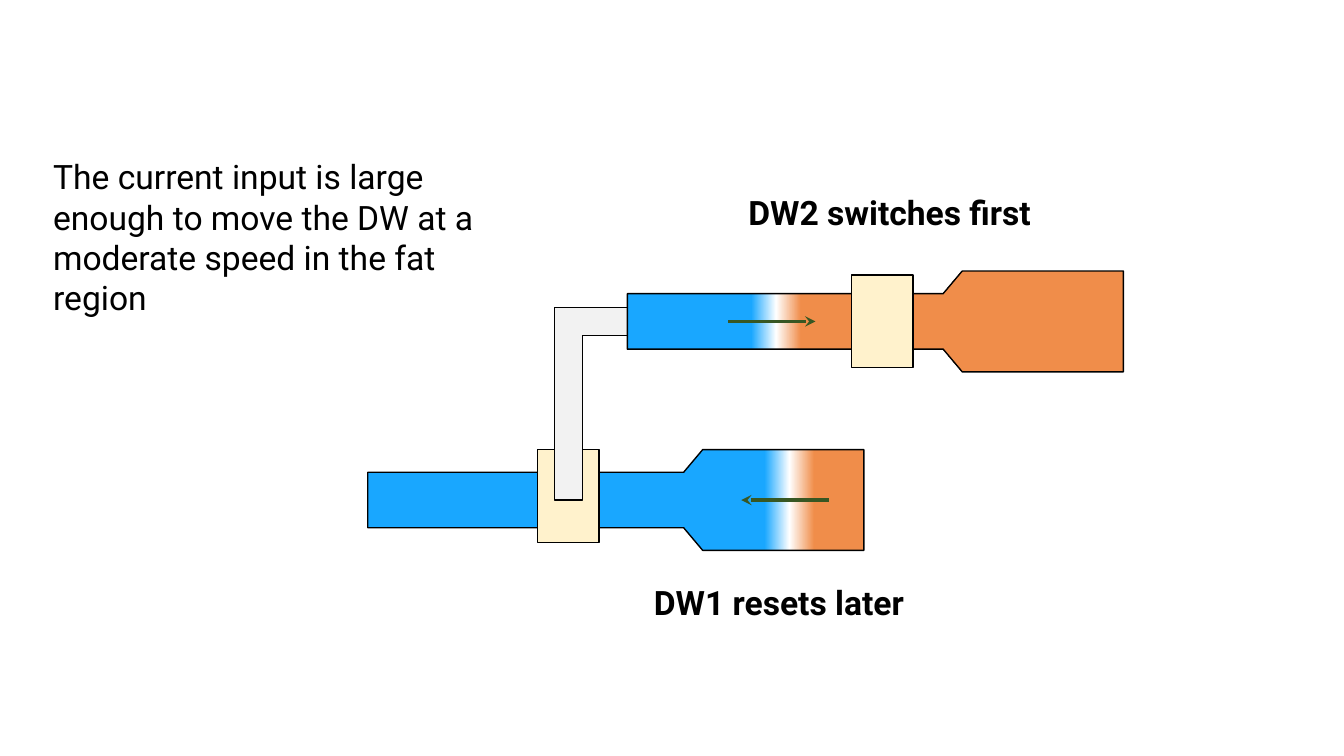
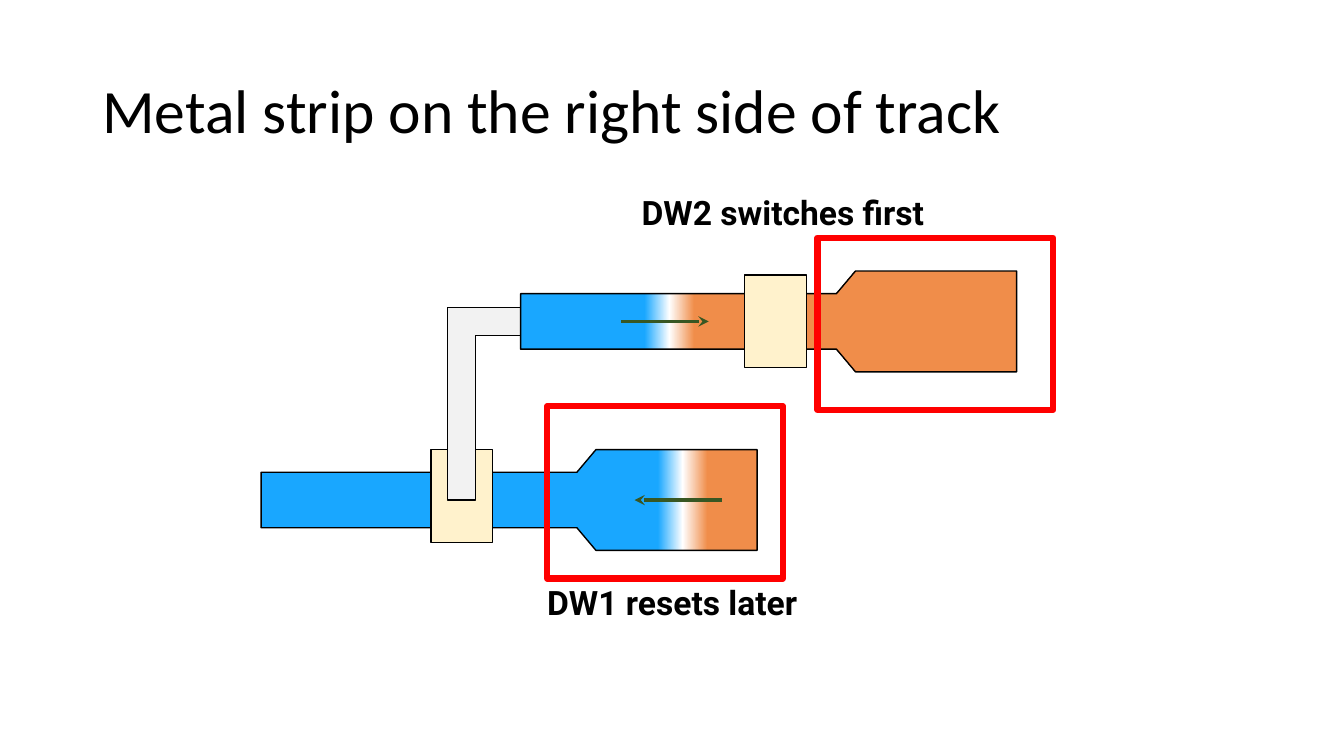
from copy import deepcopy

from lxml import etree
from pptx import Presentation
from pptx import util as u
from pptx.dml.color import RGBColor
from pptx.enum import shapes, text
from pptx.oxml.ns import qn

# Shared colours
BLACK, WHITE, RED, GREEN = "000000", "FFFFFF", "FF0000", "385723"
BLUE, ORANGE, CREAM, GREY = "19A7FF", "F08D4A", "FFF2CC", "F2F2F2"

# Shared track dimensions, in cm
LENGTH, TAPER_START, TAPER_END = 12.5, 7.96, 8.44
NARROW, WIDE = 0.7, 1.27  # half heights
PAD_WIDTH, PAD_HEIGHT = 1.55, 2.34
STRIP = 0.7
UPPER_Y, LOWER_Y = 8.1, 12.6  # centre lines of the tracks
UPPER_SHIFT = 6.54  # the upper track starts this far right of the lower one


def color(value):
    return RGBColor.from_string(value)


class Deck:
    """Style and current slide, with one method for each kind of element."""

    def __init__(self):
        self.presentation = Presentation()
        self.presentation.slide_width = u.Cm(33.87)
        self.presentation.slide_height = u.Cm(19.05)
        self.slide = None

    def new_slide(self):
        self.slide = self.presentation.slides.add_slide(self.presentation.slide_layouts[6])

    def style(self, shape, fill, line=BLACK, width=1):
        shape.shadow.inherit = False
        if fill:
            shape.fill.solid()
            shape.fill.fore_color.rgb = color(fill)
        else:
            shape.fill.background()
        shape.line.color.rgb = color(line)
        shape.line.width = u.Pt(width)

    def text(self, x, y, w, h, words, size=24, font="Roboto", bold=False, align=None):
        frame = self.slide.shapes.add_textbox(u.Cm(x), u.Cm(y), u.Cm(w), u.Cm(h)).text_frame
        frame.word_wrap = True
        frame.text = words
        paragraph = frame.paragraphs[0]
        paragraph.alignment = align
        paragraph.font.name = font
        paragraph.font.size = u.Pt(size)
        paragraph.font.bold = bold
        paragraph.font.color.rgb = color(BLACK)
        return frame

    def title(self, words):
        frame = self.text(2.33, 1.01, 29.21, 3.68, words, size=44, font="Calibri")
        frame.vertical_anchor = text.MSO_ANCHOR.MIDDLE
        frame.paragraphs[0].line_spacing = 0.9

    def label(self, x, y, words):
        self.text(x, y, 10.2, 1.27, words, bold=True, align=text.PP_ALIGN.CENTER)

    def box(self, x, y, w, h, fill=None, line=BLACK, width=1):
        shape = self.slide.shapes.add_shape(
            shapes.MSO_SHAPE.RECTANGLE, u.Cm(x), u.Cm(y), u.Cm(w), u.Cm(h))
        self.style(shape, fill, line, width)

    def pad(self, x, y):
        self.box(x, y, PAD_WIDTH, PAD_HEIGHT, CREAM)

    def outline(self, points, fill):
        corners = [(u.Cm(x), u.Cm(y)) for x, y in points]
        builder = self.slide.shapes.build_freeform(*corners[0])
        builder.add_line_segments(corners[1:], close=True)
        shape = builder.convert_to_shape()
        self.style(shape, fill)
        return shape

    def track(self, x, y, wall):
        """Draw a widening track whose domain wall is centred at the given percentage."""
        upper = [(0, -NARROW), (TAPER_START, -NARROW), (TAPER_END, -WIDE), (LENGTH, -WIDE)]
        lower = [(dx, -dy) for dx, dy in reversed(upper)]
        shape = self.outline([(x + dx, y + dy) for dx, dy in upper + lower], BLUE)
        shape.fill.gradient()
        shape.fill.gradient_angle = 0
        stops = [(0, BLUE), (wall - 5, BLUE), (wall, WHITE), (wall + 5, ORANGE), (100, ORANGE)]
        first = next(shape._element.spPr.iter(qn("a:gs")))
        for _ in stops[2:]:
            first.addnext(deepcopy(first))
        for stop, (percent, value) in zip(shape.fill.gradient_stops, stops):
            stop.position = percent / 100
            stop.color.rgb = color(value)

    def arrow(self, start, end, y):
        connector = self.slide.shapes.add_connector(
            shapes.MSO_CONNECTOR.STRAIGHT, u.Cm(start), u.Cm(y), u.Cm(end), u.Cm(y))
        connector.line.color.rgb = color(GREEN)
        connector.line.width = u.Pt(2.5)
        properties = connector._element.spPr
        etree.SubElement(properties.find(qn("a:ln")), qn("a:tailEnd"), type="stealth")
        etree.SubElement(properties, qn("a:effectLst"))

    def diagram(self, x):
        """Draw both linked tracks, the lower one starting at x."""
        upper_x, pad_x = x + UPPER_SHIFT, x + 4.28
        # Lower track and its pad
        self.track(x, LOWER_Y, 85)
        self.pad(pad_x, LOWER_Y - WIDE)
        # Metal strip from the lower pad to the upper track
        left = pad_x + (PAD_WIDTH - STRIP) / 2
        top = UPPER_Y - STRIP / 2
        inner_x, inner_y = left + STRIP, top + STRIP
        self.outline([(left, top), (upper_x, top), (upper_x, inner_y), (inner_x, inner_y),
                      (inner_x, LOWER_Y), (left, LOWER_Y)], GREY)
        # Upper track and its pad
        self.track(upper_x, UPPER_Y, 30)
        self.pad(upper_x + 5.65, UPPER_Y - PAD_HEIGHT / 2)
        # Labels and directions of motion
        self.label(x + 5.26, 14.55, "DW1 resets later")
        self.label(x + 8.05, 4.7, "DW2 switches first")
        self.arrow(upper_x + 2.54, upper_x + 4.74, UPPER_Y)
        self.arrow(x + 11.61, x + 9.41, LOWER_Y)


def main():
    deck = Deck()

    # Slide 1: moderate current
    deck.new_slide()
    deck.diagram(9.27)
    deck.text(1.09, 3.81, 12.5, 4.37,
              "The current input is large enough to move the DW at a moderate speed "
              "in the fat region")

    # Slide 2: metal strip on the right side
    deck.new_slide()
    deck.title("Metal strip on the right side of track")
    deck.diagram(6.58)
    for x, y in [(20.6, 5.99), (13.79, 10.24)]:
        deck.box(x, y, 5.94, 4.34, line=RED, width=4.5)

    deck.presentation.save("out.pptx")


if __name__ == "__main__":
    main()
